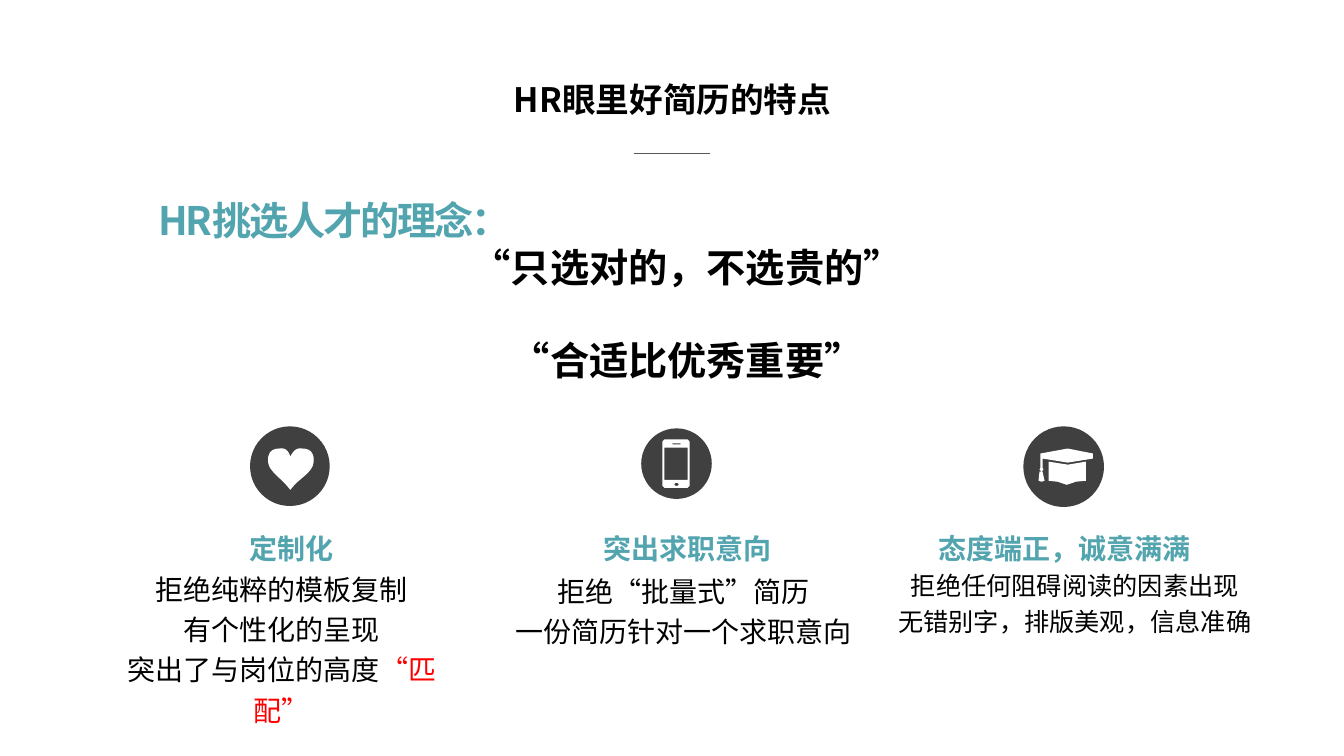
from lxml import etree
from pptx import Presentation
from pptx.dml.color import RGBColor
from pptx.enum.shapes import MSO_CONNECTOR, MSO_SHAPE
from pptx.enum.text import PP_ALIGN
from pptx.oxml.ns import qn
from pptx.util import Inches, Pt

LEFT, CENTER = PP_ALIGN.LEFT, PP_ALIGN.CENTER
OVAL, STRAIGHT = MSO_SHAPE.OVAL, MSO_CONNECTOR.STRAIGHT
FONT = "Noto Sans CJK SC"
COLORS = {"teal": "52A4AE", "black": "000000", "red": "FF0000",
          "dark": "404040", "white": "FFFFFF", "rule": "595959"}

HEART_CURVES = [
    [(.40, .30), (.38, .24), (.35, .21), (.29, .22)],
    [(.29, .22), (.20, .22), (.17, .28), (.18, .36)],
    [(.18, .36), (.19, .45), (.31, .51), (.40, .63)],
    [(.40, .63), (.49, .51), (.62, .46), (.63, .36)],
    [(.63, .36), (.64, .28), (.61, .22), (.52, .22)],
    [(.52, .22), (.46, .21), (.43, .24), (.40, .30)],
]
CAP = [
    [(.69, .27), (.44, .22), (.17, .27), (.17, .41), (.16, .43), (.18, .45),
     (.20, .43), (.19, .41), (.19, .32), (.44, .36), (.69, .32)],
    [(.19, .45), (.16, .45), (.15, .54), (.18, .55), (.21, .54)],
    [(.25, .54), (.25, .35), (.44, .38), (.62, .35), (.62, .54), (.52, .55),
     (.43, .58), (.34, .55)],
]


def rgb(name):
    """Return the named colour."""
    return RGBColor.from_string(COLORS[name])


def curve_points(curves, steps=8):
    """Sample a chain of cubic curves into points."""
    points = []
    for a, b, c, d in curves:
        for i in range(steps):
            t = i / steps
            u = 1 - t
            points.append(tuple(
                u**3 * a[k] + 3 * u * u * t * b[k] + 3 * u * t * t * c[k] + t**3 * d[k]
                for k in (0, 1)))
    return points


def cut_rect(x, y, w, h, cut=0):
    """Return the outline of a rectangle with cut corners."""
    r, b = x + w, y + h
    return [(x + cut, y), (r - cut, y), (r, y + cut), (r, b - cut),
            (r - cut, b), (x + cut, b), (x, b - cut), (x, y + cut)]


HEART = [curve_points(HEART_CURVES)]
PHONE = [cut_rect(.21, .11, .27, .48, .02), cut_rect(.23, .19, .23, .32),
         cut_rect(.31, .15, .08, .01), cut_rect(.33, .54, .04, .03, .01)]


def add_text(s, box, lines, size, color="black", bold=False, spacing=1.0, inset=(.07, .04)):
    """Place centred lines in a box, each a string or a list of (text, colour)."""
    tf = s.shapes.add_textbox(*map(Inches, box)).text_frame
    tf.word_wrap = True
    tf.margin_left = tf.margin_right = Inches(inset[0])
    tf.margin_top = tf.margin_bottom = Inches(inset[1])
    for i, line in enumerate(lines):
        p = tf.paragraphs[0] if i == 0 else tf.add_paragraph()
        p.alignment, p.line_spacing = CENTER, spacing
        p.font.name, p.font.size, p.font.bold = FONT, Pt(size), bold
        p.font.color.rgb = rgb(color)
        font_xml = p._p.pPr.find(qn("a:defRPr"))
        etree.SubElement(font_xml, qn("a:ea"), typeface=FONT)
        for text, run_color in [(line, color)] if isinstance(line, str) else line:
            r = p.add_run()
            r.text = text
            if run_color != color:
                r.font.color.rgb = rgb(run_color)
    return tf


def paint(sp, color):
    """Give a shape a plain fill without line or shadow."""
    sp.shadow.inherit = False
    sp.fill.solid()
    sp.fill.fore_color.rgb = rgb(color)
    sp.line.fill.background()


def add_icon(s, x, y, size, outlines):
    """Draw a white icon on a dark disc."""
    paint(s.shapes.add_shape(OVAL, Inches(x), Inches(y), Inches(size), Inches(size)), "dark")
    builder = None
    for outline in outlines:
        points = [(px * 1000, py * 1000) for px, py in outline]
        if builder is None:
            builder = s.shapes.build_freeform(*points[0], scale=Inches(.001))
        else:
            builder.move_to(*points[0])
        builder.add_line_segments(points[1:], close=True)
    paint(builder.convert_to_shape(Inches(x), Inches(y)), "white")


def add_header(s, x, y, w):
    """Place the slide title and the short rule below it."""
    add_text(s, (x, y, w, .48), ["HR眼里好简历的特点"], 24, bold=True)
    mid, rule_y = x + w / 2, Inches(y + .78)
    line = s.shapes.add_connector(STRAIGHT, Inches(mid - .38), rule_y, Inches(mid + .37), rule_y)
    line.line.color.rgb = rgb("rule")
    line.line.width = Pt(.75)
    etree.SubElement(line._element.spPr, qn("a:effectLst"))


def add_idea(s, box):
    """Place the lead-in and the two quoted principles."""
    tf = add_text(s, box, ["HR挑选人才的理念：", "“只选对的，不选贵的”", "“合适比优秀重要”"],
                  28, bold=True, inset=(.1, .05))
    lead, _, last = tf.paragraphs
    lead.alignment, lead.line_spacing = LEFT, 1.2
    lead.font.color.rgb = rgb("teal")
    lead._p.pPr.find(qn("a:defRPr")).set("spc", "-150")
    last.space_before = Pt(33)


def add_column(s, box, disc, icon, heading, heading_mid, lines, size):
    """Place one trait: icon, heading and explanation."""
    x, y, w, h = box
    add_icon(s, *disc, icon)
    add_text(s, (heading_mid - 1.5, 5.23, 3, .41), [heading], 20, "teal", True)
    add_text(s, (x, y, w, h), lines, size, spacing=1.2)


def main():
    """Build and save the slide."""
    prs = Presentation()
    prs.slide_width, prs.slide_height = Inches(13.33), Inches(7.5)
    s = prs.slides.add_slide(prs.slide_layouts[6])
    add_header(s, 4.37, .74, 4.6)
    add_idea(s, (1.47, 1.8, 10.69, 2.29))
    add_column(s, (.92, 5.57, 3.75, 1.29), (2.48, 4.23, .79), HEART, "定制化", 2.89,
               ["拒绝纯粹的模板复制", "有个性化的呈现",
                [("突出了与岗位的高度", "black"), ("“匹配”", "red")]], 20)
    add_column(s, (4.93, 5.59, 3.7, .88), (6.36, 4.25, .7), PHONE, "突出求职意向", 6.82,
               ["拒绝“批量式”简历", "一份简历针对一个求职意向"], 20)
    add_column(s, (8.74, 5.56, 3.84, .8), (10.15, 4.23, .8), CAP, "态度端正，诚意满满", 10.56,
               ["拒绝任何阻碍阅读的因素出现", "无错别字，排版美观，信息准确"], 18)
    prs.save("out.pptx")


if __name__ == "__main__":
    main()
